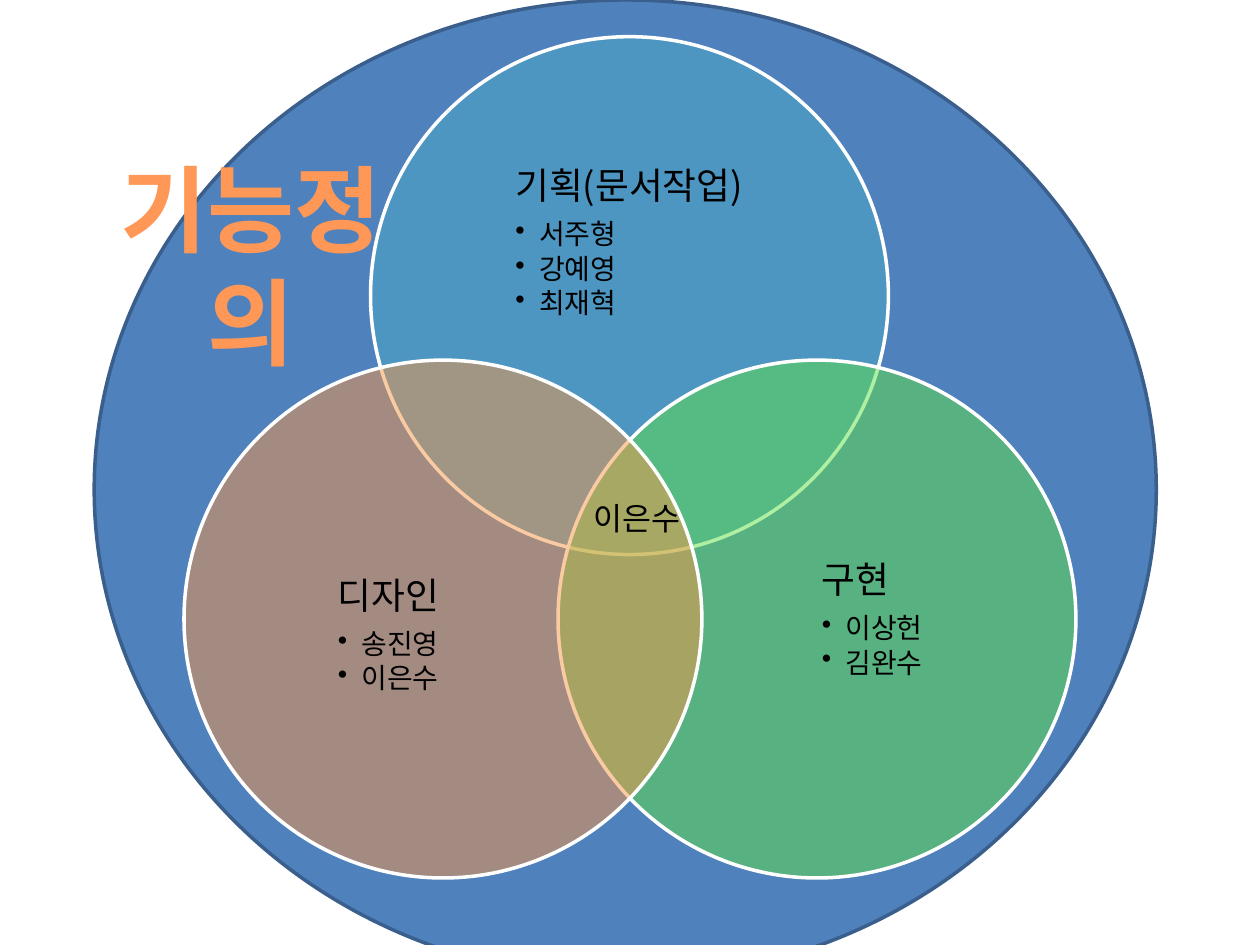
from lxml import etree
from pptx import Presentation
from pptx import util as u
from pptx.dml.color import RGBColor
from pptx.enum import shapes, text
from pptx.oxml.ns import qn

HUES = {"blue": "4F81BD", "edge": "3A5F8C", "plan": "4BACC6", "build": "60E146",
        "design": "F79646", "white": "FFFFFF", "black": "000000", "title": "FF9856"}
FONT = "Noto Sans CJK KR"
SIZE = 10.44
HEAD = {"line_spacing": 0.9, "space_after": u.Pt(7.35)}
ITEM = {"line_spacing": 0.9, "space_after": u.Pt(2.4), "level": 1}
FLUSH = {"margin_left": 0, "margin_right": 0, "margin_top": 0, "margin_bottom": 0,
         "vertical_anchor": text.MSO_ANCHOR.MIDDLE}
RINGS = [
    ("plan", (7.47, 0.74), (8.86, 2.57, 7.65, 4.7), 0, "기획(문서작업)", ["서주형", "강예영", "최재혁"]),
    ("build", (11.25, 7.26), (14.45, 9.96, 6.27, 5.74), 0.64, "구현", ["이상헌", "김완수"]),
    ("design", (3.71, 7.26), (4.7, 9.96, 6.27, 5.74), 0, "디자인", ["송진영", "이은수"]),
]


def apply(obj, form):
    for key, val in form.items():
        setattr(obj, key, val)


def tint(name):
    return RGBColor.from_string(HUES[name])


def oval(slide, box, fill, edge, alpha=None):
    shape = slide.shapes.add_shape(shapes.MSO_SHAPE.OVAL, *map(u.Cm, box))
    shape.shadow.inherit = False
    shape.fill.solid()
    shape.fill.fore_color.rgb = tint(fill)
    shape.line.color.rgb = tint(edge)
    shape.line.width = u.Pt(2)
    if alpha:
        clr = shape.fill._xPr.find(qn("a:solidFill"))[0]
        etree.SubElement(clr, qn("a:alpha"), val=str(alpha * 1000))


def frame(slide, box, form):
    area = slide.shapes.add_textbox(*map(u.Cm, box)).text_frame
    apply(area, {"word_wrap": True, **form})
    return area


def write(para, words, size, hue="black", bold=False, form={}):
    apply(para, form)
    run = para.add_run()
    run.text = words
    apply(run.font, {"size": u.Pt(size), "bold": bold, "name": FONT})
    run.font.color.rgb = tint(hue)
    etree.SubElement(run.font._element, qn("a:ea"), typeface=FONT)


def bullet(para):
    props = para._p.get_or_add_pPr()
    props.set("marL", str(u.Cm(0.48)))
    props.set("indent", str(u.Cm(-0.48)))
    etree.SubElement(props, qn("a:buChar"), char="•")


def ring(slide, hue, spot, box, lift, head, names):
    oval(slide, (*spot, SIZE, SIZE), hue, "white", 50)
    area = frame(slide, box, {**FLUSH, "margin_bottom": u.Cm(lift)})
    area._txBody.bodyPr.set("anchorCtr", "1")
    write(area.paragraphs[0], head, 21, form=HEAD)
    for name in names:
        para = area.add_paragraph()
        write(para, name, 16, form=ITEM)
        bullet(para)


def main():
    """Build the Venn slide of team roles."""
    deck = Presentation()
    apply(deck, {"slide_width": u.Cm(25.4), "slide_height": u.Cm(19.05)})
    slide = deck.slides.add_slide(deck.slide_layouts[6])
    oval(slide, (1.9, 0, 21.41, 19.74), "blue", "edge")
    for args in RINGS:
        ring(slide, *args)
    core = frame(slide, (11.71, 9.93, 2.59, 1.02), {})
    write(core.paragraphs[0], "이은수", 18)
    title = frame(slide, (2.11, 2.92, 5.89, 4.88), {})
    write(title.paragraphs[0], "기능정의", 54, "title", True,
          {"alignment": text.PP_ALIGN.CENTER})
    deck.save("out.pptx")


main()
